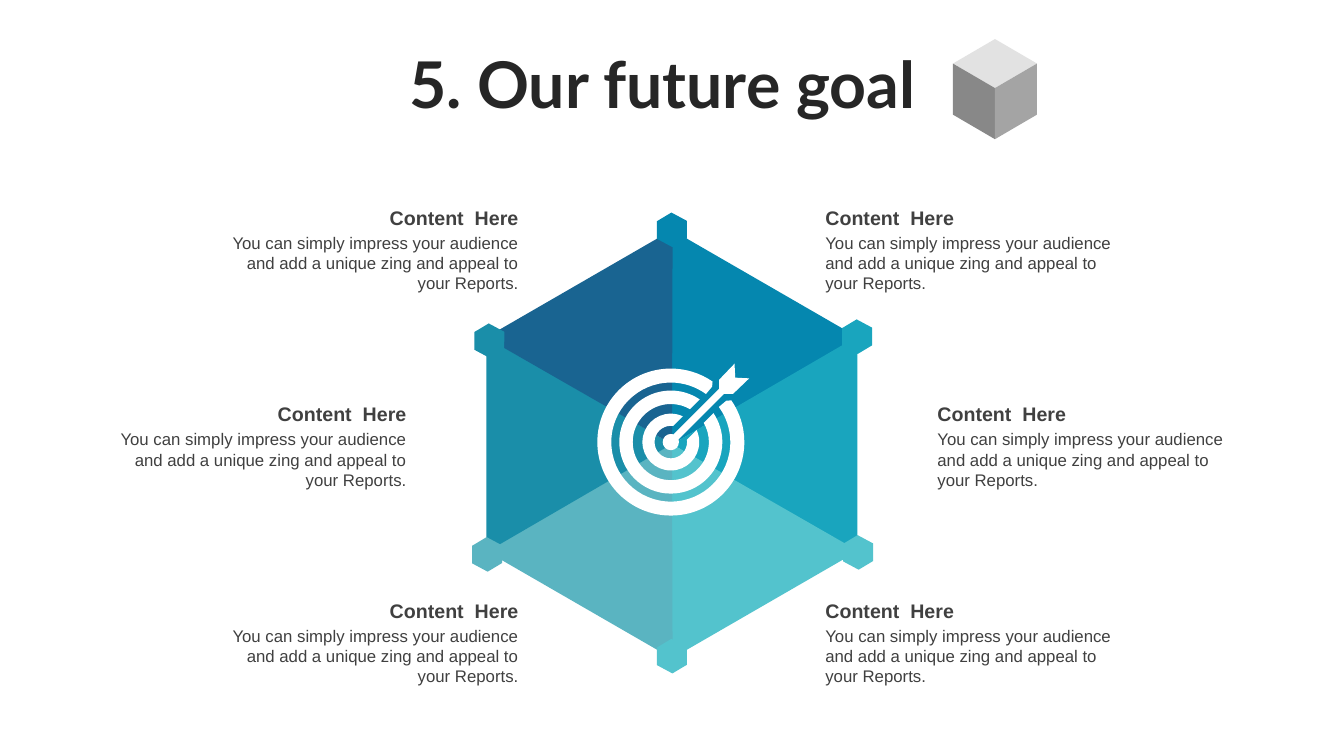
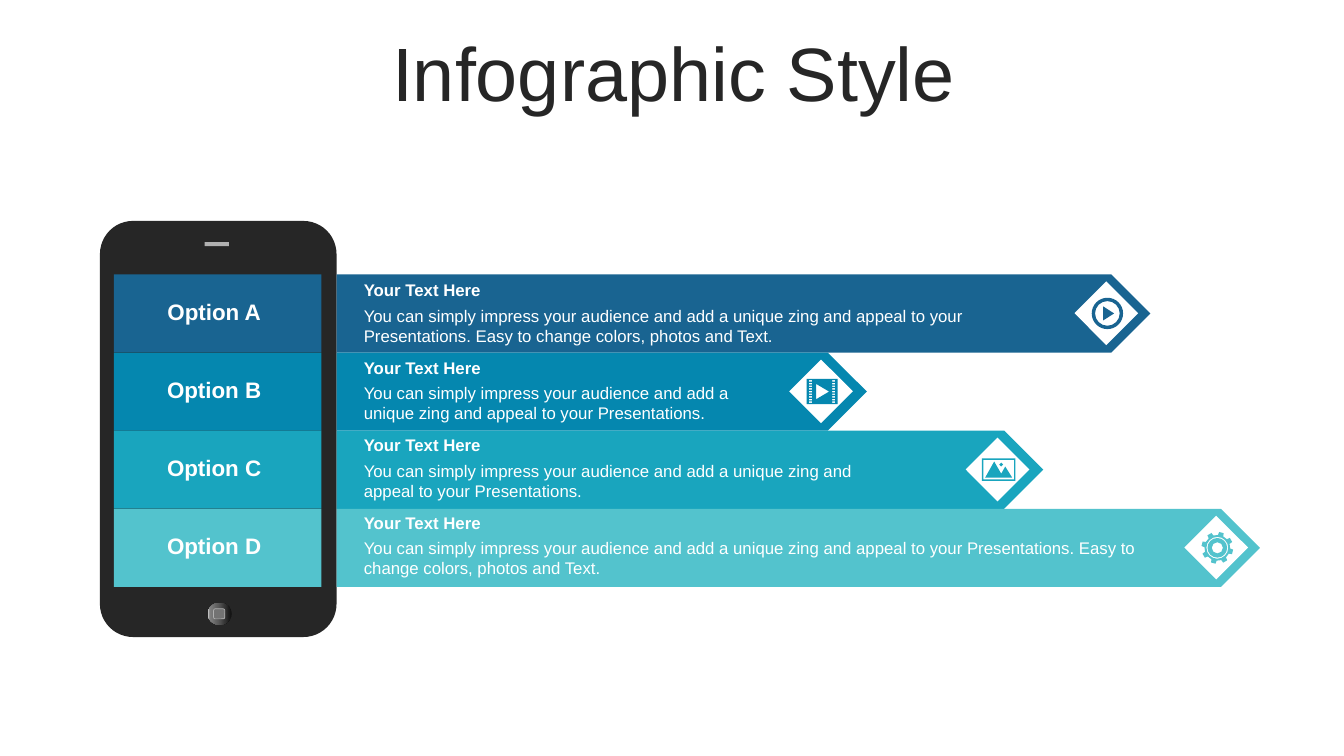
from dataclasses import dataclass
from math import asin, ceil, cos, degrees, floor, radians, sin, tan

from lxml import etree
from pptx import Presentation
from pptx import slide as sl
from pptx import util as u
from pptx.dml.color import RGBColor
from pptx.enum import shapes as sh
from pptx.enum import text as tx
from pptx.oxml import ns
from pptx.shapes import autoshape as au
from pptx.text import text as pt

Point = tuple[float, float]
Step = tuple[Point, ...]  # an end point, with two control points before it on a curve
Loop = list[Step]
Box = tuple[float, float, float, float]
Kind = sh.MSO_SHAPE
Align = tx.PP_ALIGN

WIDE, HIGH = 960, 540
SANS, LATO = "Arial", "Lato"

NAVY = RGBColor(0x19, 0x64, 0x91)
BLUE = RGBColor(0x05, 0x87, 0xAF)
CYAN = RGBColor(0x19, 0xA5, 0xBE)
AQUA = RGBColor(0x53, 0xC3, 0xCD)
MIST = RGBColor(0x5A, 0xB4, 0xC1)
TEAL = RGBColor(0x1A, 0x8E, 0xA9)
WHITE = RGBColor(0xFF, 0xFF, 0xFF)
INK = RGBColor(0x26, 0x26, 0x26)
TEXT = RGBColor(0x40, 0x40, 0x40)
STEEL = RGBColor(0x73, 0x73, 0x73)
SILVER = RGBColor(0xB0, 0xB0, 0xB0)
LIGHT = RGBColor(0xE2, 0xE2, 0xE2)
MID = RGBColor(0xA4, 0xA4, 0xA4)
DARK = RGBColor(0x88, 0x88, 0x88)
METAL = ((0, "0F0F0F"), (56, "595959"), (91, "808080"), (100, "BFBFBF"))

WHEEL = (BLUE, CYAN, AQUA, MIST, TEAL, NAVY)  # clockwise from the top
KNOTS = ((467.5, 153.4, BLUE), (599.8, 229.7, CYAN), (600.5, 383.8, AQUA),
         (467.5, 457.9, AQUA), (335.5, 385.2, MIST), (337, 232.6, TEAL))
PITCH = "You can simply impress your audience and add a unique zing and appeal to your "


@dataclass(frozen=True)
class Note:
    """A bold heading with a paragraph below it."""
    left: float
    top: float
    width: float
    head: str
    body: str
    size: float
    drop: float
    tall: float
    color: RGBColor
    align: Align = Align.LEFT


@dataclass(frozen=True)
class Ring:
    """A target ring; gap and slot are half widths of its opening."""
    outer: float
    inner: float
    gap: float
    slot: float
    notch: tuple[Point, ...] = ()


@dataclass(frozen=True)
class Row:
    name: str
    color: RGBColor
    width: float
    gem: float
    span: float
    body: str
    icon: list[Loop]


def paint(shape: au.Shape, color: RGBColor) -> au.Shape:
    shape.shadow.inherit = False
    shape.fill.solid()
    shape.fill.fore_color.rgb = color
    shape.line.fill.background()
    return shape


def draw(slide: sl.Slide, kind: Kind, box: Box, color: RGBColor, turn: float = 0) -> au.Shape:
    shape = paint(slide.shapes.add_shape(kind, *map(u.Pt, box)), color)
    shape.rotation = turn
    return shape


def trace(slide: sl.Slide, loops: list[Loop], color: RGBColor, mid: Point = (0, 0)) -> None:
    """Draw closed outlines around mid as one shape; inner outlines cut holes."""
    paths = [[[(u.Pt(mid[0] + x), u.Pt(mid[1] + y)) for x, y in step] for step in loop]
             for loop in loops]
    pen = slide.shapes.build_freeform(*paths[0][0][-1], scale=1.0)
    for num, (start, *rest) in enumerate(paths):
        if num:
            pen.move_to(*start[-1])
        pen.add_line_segments([step[-1] for step in rest], close=True)
    shape = paint(pen.convert_to_shape(), color)
    lines = list(shape.element.spPr.iter(ns.qn("a:lnTo")))
    for line, step in zip(lines, (step for path in paths for step in path[1:])):
        if len(step) == 3:
            line.tag = ns.qn("a:cubicBezTo")
            line.clear()
            for x, y in step:
                etree.SubElement(line, ns.qn("a:pt"), x=str(x - shape.left), y=str(y - shape.top))


def polar(rad: float, deg: float) -> Point:
    return rad * cos(radians(deg)), -rad * sin(radians(deg))


def lines(*points: Point) -> Loop:
    return [(point,) for point in points]


def arc(rad: float, start: float = 0, end: float = 360) -> Loop:
    """Curves along a circle, split at each quarter."""
    low, high = sorted((start, end))
    cuts = [low, *range(90 * (floor(low / 90) + 1), 90 * ceil(high / 90), 90), high]
    if end < start:
        cuts.reverse()
    loop = lines(polar(rad, start))
    for a, b in zip(cuts, cuts[1:]):
        pull = 4 / 3 * tan(radians(b - a) / 4)
        (ax, ay), (bx, by) = polar(rad, a), polar(rad, b)
        loop.append(((ax + pull * ay, ay - pull * ax), (bx - pull * by, by + pull * bx), (bx, by)))
    return loop


def block(left: float, top: float, width: float, height: float) -> Loop:
    right, low = left + width, top + height
    return lines((left, top), (right, top), (right, low), (left, low))


def write(para: pt._Paragraph, words: str, size: float, color: RGBColor,
          bold: bool = False, font: str = SANS) -> None:
    run = para.add_run()
    run.text = words
    run.font.name, run.font.size, run.font.bold = font, u.Pt(size), bold
    run.font.color.rgb = color


def title(slide: sl.Slide, words: str, box: Box, size: float, align: Align,
          font: str = SANS, bold: bool = False) -> pt._Paragraph:
    head = slide.shapes.title
    head.left, head.top, head.width, head.height = map(u.Pt, box)
    frame = head.text_frame
    frame.auto_size = tx.MSO_AUTO_SIZE.NONE
    frame.vertical_anchor = tx.MSO_ANCHOR.MIDDLE
    para = frame.paragraphs[0]
    para.alignment = align
    write(para, words, size, INK, bold, font)
    return para


def textbox(slide: sl.Slide, box: Box, words: str, size: float, color: RGBColor,
            bold: bool, align: Align) -> None:
    frame = slide.shapes.add_textbox(*map(u.Pt, box)).text_frame
    frame.word_wrap = True
    frame.auto_size = tx.MSO_AUTO_SIZE.SHAPE_TO_FIT_TEXT
    frame.paragraphs[0].alignment = align
    write(frame.paragraphs[0], words, size, color, bold)


def label(slide: sl.Slide, note: Note) -> None:
    head = note.left, note.top, note.width, 7.2 + note.size * 1.2
    body = note.left, note.top + note.drop, note.width, note.tall
    textbox(slide, head, note.head, note.size, note.color, True, note.align)
    textbox(slide, body, note.body, 12, note.color, False, note.align)


def wheel(slide: sl.Slide, mid: Point) -> None:
    base, tall = 154, 132.5
    for num, color in enumerate(WHEEL):
        x, y = polar(tall / 2, 60 - 60 * num)
        box = mid[0] + x - base / 2, mid[1] + y - tall / 2, base, tall
        draw(slide, Kind.ISOSCELES_TRIANGLE, box, color, (210 + 60 * num) % 360)
    for left, top, color in KNOTS:
        draw(slide, Kind.HEXAGON, (left, top, 25, 21.6), color, 329.1).adjustments[0] = 0.3


def target() -> list[Loop]:
    """Three open rings and an arrow that ends in the centre dot."""
    def part(rad: float, gap: float, back: bool) -> Loop:
        half = degrees(asin(gap / rad))
        ends = (405 - half, 45 + half) if back else (45 + half, 405 - half)
        return arc(rad, *ends)

    def flip(points: list[Point]) -> list[Point]:
        return [(-y, -x) for x, y in reversed(points)]

    rings = (Ring(52.5, 42.5, 9.5, 6.5, ((29.5, -39.6),)),
             Ring(36.8, 27.2, 6.9, 6.9), Ring(20.3, 11.6, 6.9, 6.9))
    loops = [part(r.outer, r.gap, False) + lines(*flip(list(r.notch)))
             + part(r.inner, r.slot, True) + lines(*r.notch) for r in rings]
    side = [(34.5, -38), (34.5, -44.5), (45.5, -56)]
    return loops + [lines(*side, (46, -46), *flip(side)) + part(5.8, 2.5, True)]


def cube(slide: sl.Slide, mid: Point) -> None:
    half, rise, edge = 30, 17.5, 36.5
    top, low = (0, -rise * 2), (0, edge)
    left, right = (-half, -rise), (half, -rise)
    faces = ((lines(top, right, (0, 0), left), LIGHT),
             (lines(left, (0, 0), low, (-half, edge - rise)), DARK),
             (lines(right, (0, 0), low, (half, edge - rise)), MID))
    for face, color in faces:
        trace(slide, [face], color, mid)


def goal(slide: sl.Slide) -> None:
    title(slide, "5. Our future goal", (285, 27.5, 522, 63), 46, Align.LEFT, LATO, True)
    wheel(slide, (480, 317.3))
    width = 227
    for num, left in enumerate((582.5, 662.5, 582.5)):
        for x, align in ((left, Align.LEFT), (WIDE - left - width, Align.RIGHT)):
            label(slide, Note(x, 143.2 + 140.4 * num, width, "Content  Here",
                              PITCH + "Reports.", 14, 19.4, 51, TEXT, align))
    trace(slide, target(), WHITE, (479.2, 315.8))
    cube(slide, (710.7, 62.9))


def play() -> list[Loop]:
    return [arc(11.2), arc(8.8), lines((-3, -5), (4.8, 0), (-3, 5))]


def film() -> list[Loop]:
    holes = [block(x, -8.1 + 1.9 * i, 2.2, 1) for x in (-9.4, 7.2) for i in range(9)]
    return [block(-11, -9, 22, 18), *holes, lines((-4.3, -5.5), (5, 0), (-4.3, 5.5))]


def photo() -> list[Loop]:
    hills = lines((-9.7, 5.8), (-3.2, -5.8), (1.8, 2.9), (4.7, -2.2), (9.7, 5.8))
    sun = [tuple((x + 1.8, y - 3.6) for x, y in step) for step in arc(1.4)]
    return [block(-12, -8, 24, 16), block(-11, -7, 22, 14), hills, sun]


def gear() -> list[Loop]:
    tooth = ((9.2, 12), (11.4, 8.5), (11.4, -8.5), (9.2, -12))
    rim = [polar(rad, 75 - 45 * i + deg) for i in range(8) for rad, deg in tooth]
    return [lines(*rim), arc(7.8), arc(7), arc(4)]


def phone(slide: sl.Slide) -> None:
    draw(slide, Kind.ROUNDED_RECTANGLE, (71.4, 157.8, 169, 297.2), INK).adjustments[0] = 0.14
    draw(slide, Kind.RECTANGLE, (146.2, 173, 17.3, 2.9), SILVER)
    knob = draw(slide, Kind.OVAL, (148.5, 430.5, 17, 16), STEEL)
    knob.fill.gradient()
    knob.fill.gradient_angle = 180
    stops = knob.element.spPr.find(".//" + ns.qn("a:gsLst"))
    stops.clear()
    for pos, color in METAL:
        stop = etree.SubElement(stops, ns.qn("a:gs"), pos=str(pos * 1000))
        etree.SubElement(stop, ns.qn("a:srgbClr"), val=color)
    key = draw(slide, Kind.ROUNDED_RECTANGLE, (152.6, 434.9, 8, 7.2), STEEL)
    key.line.color.rgb, key.line.width = SILVER, u.Pt(0.5)


def options(slide: sl.Slide) -> None:
    para = title(slide, "Infographic Style", (25.4, 26.5, 911.5, 57), 54, Align.CENTER)
    para.line_spacing, para.space_before = 0.9, u.Pt(10)
    phone(slide)
    short = PITCH + "Presentations."
    full = short + " Easy to change colors, photos and Text."
    rows = (Row("Option A", NAVY, 581.2, 767.5, 454.5, full, play()),
            Row("Option B", BLUE, 378.7, 563.7, 276, short, film()),
            Row("Option C", CYAN, 504.7, 689.8, 365, short, photo()),
            Row("Option D", AQUA, 659.5, 846, 569, full, gear()))
    tall, gem = 55.8, 45.5
    for num, row in enumerate(rows):
        top = 196 + tall * num
        draw(slide, Kind.PENTAGON, (240.5, top, row.width, tall), row.color)
        draw(slide, Kind.DIAMOND, (row.gem, top + 5, gem, gem), WHITE)
        draw(slide, Kind.RECTANGLE, (81.4, top, 148.2, tall), row.color)
        textbox(slide, (106.6, top + 13.5, 92.8, 26.6), row.name, 16, WHITE, True, Align.CENTER)
        label(slide, Note(252.8, 196.5 + 55.4 * num, row.span, "Your Text Here", row.body,
                          12, 18, 36, WHITE))
        trace(slide, row.icon, row.color, (row.gem + gem / 2 + 0.8, top + tall / 2))


def main() -> None:
    deck = Presentation()
    deck.slide_width, deck.slide_height = u.Pt(WIDE), u.Pt(HIGH)
    for fill in (goal, options):
        fill(deck.slides.add_slide(deck.slide_layouts[5]))
    deck.save("out.pptx")


if __name__ == "__main__":
    main()
